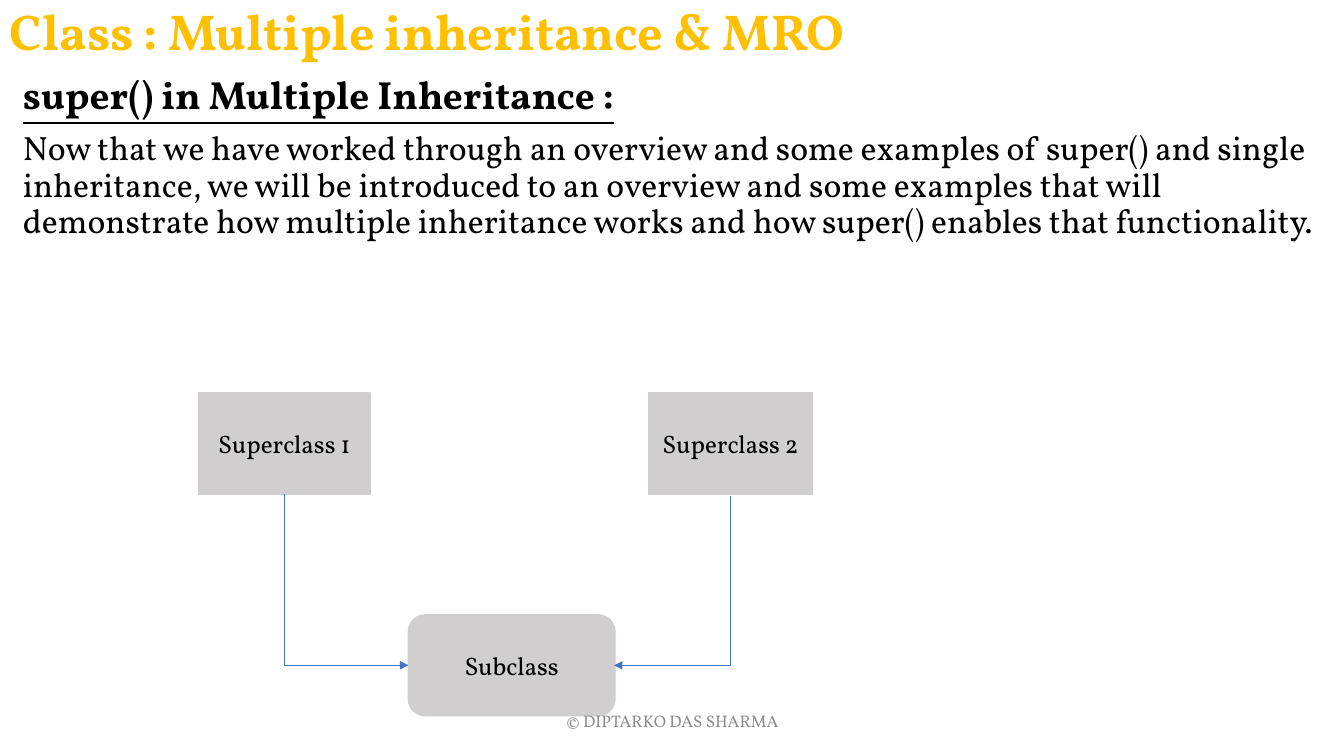
from lxml.etree import SubElement
from pptx import Presentation
from pptx.dml.color import RGBColor as Rgb
from pptx.enum.shapes import MSO_CONNECTOR as Conn, MSO_SHAPE as Kind
from pptx.enum.text import MSO_ANCHOR as Anchor, PP_ALIGN as Align
from pptx.oxml.ns import qn
from pptx.util import Inches, Pt

FONT = "Vollkorn"
HUES = {
    "gold": "FFC000",
    "black": "000000",
    "gray": "D0CECE",
    "blue": "4472C4",
    "foot": "8C8C8C",
}
INTRO = (
    "Now that we have worked through an overview and some examples of super() "
    "and single inheritance, we will be introduced to an overview and some "
    "examples that will demonstrate how multiple inheritance works and how "
    "super() enables that functionality."
)


def hue(name):
    return Rgb.from_string(HUES[name])


def add_run(para, text, size, color="black", bold=False, under=False):
    run = para.add_run()
    run.text = text
    font = run.font
    font.name, font.size = FONT, Pt(size)
    font.bold, font.underline = bold, under
    font.color.rgb = hue(color)


def add_box(slide, area, anchor=Anchor.MIDDLE):
    box = slide.shapes.add_textbox(*map(Inches, area))
    frame = box.text_frame
    frame.word_wrap = True
    frame.vertical_anchor = anchor
    return frame


def add_title(slide, text):
    para = add_box(slide, (0, 0, 11.89, 0.68)).paragraphs[0]
    para.line_spacing = 0.9
    add_run(para, text, 36, "gold", bold=True)


def add_body(slide, head, text):
    frame = add_box(slide, (0.13, 0.7, 13, 6.4), Anchor.TOP)
    first, second = frame.paragraphs[0], frame.add_paragraph()
    for para in (first, second):
        para.line_spacing = 0.9
        para.space_before = Pt(10)
    add_run(first, head, 28, bold=True, under=True)
    add_run(second, text, 24)


def add_class(slide, kind, area, name):
    shape = slide.shapes.add_shape(kind, *map(Inches, area))
    shape.shadow.inherit = False
    shape.fill.solid()
    shape.fill.fore_color.rgb = hue("gray")
    shape.line.color.rgb = hue("gray")
    shape.line.width = Pt(1)
    frame = shape.text_frame
    frame.word_wrap = True
    frame.vertical_anchor = Anchor.MIDDLE
    para = frame.paragraphs[0]
    para.alignment = Align.CENTER
    add_run(para, name, 18)


def add_arrow(slide, start, end):
    (x1, y1), (x2, y2) = start, end
    mid_x, mid_y = (x1 + x2) / 2, (y1 + y2) / 2
    half_w, half_h = (y2 - y1) / 2, abs(x2 - x1) / 2
    right = x2 > x1
    side = half_w if right else -half_w
    ends = (mid_x + side, mid_y - half_h, mid_x - side, mid_y + half_h)
    arrow = slide.shapes.add_connector(Conn.ELBOW, *map(Inches, ends))
    arrow.line.color.rgb = hue("blue")
    arrow.line.width = Pt(0.5)
    props = arrow._element.spPr
    props.find(qn("a:xfrm")).set("rot", str((270 if right else 90) * 60000))
    props.find(qn("a:prstGeom")).set("prst", "bentConnector2")
    SubElement(props.find(qn("a:ln")), qn("a:tailEnd"), type="triangle")
    SubElement(props, qn("a:effectLst"))


def add_foot(slide, text):
    para = add_box(slide, (4.42, 6.95, 4.5, 0.4)).paragraphs[0]
    para.alignment = Align.CENTER
    add_run(para, text, 12, "foot")


def main():
    deck = Presentation()
    deck.slide_width, deck.slide_height = Inches(13.33), Inches(7.5)
    slide = deck.slides.add_slide(deck.slide_layouts[6])
    add_title(slide, "Class : Multiple inheritance & MRO")
    add_body(slide, "super() in Multiple Inheritance :", INTRO)
    add_class(slide, Kind.RECTANGLE, (1.97, 3.9, 1.7, 1), "Superclass 1")
    add_class(slide, Kind.RECTANGLE, (6.43, 3.9, 1.63, 1), "Superclass 2")
    add_class(slide, Kind.ROUNDED_RECTANGLE, (4.05, 6.1, 2.05, 1), "Subclass")
    add_arrow(slide, (7.24, 4.92), (6.09, 6.6))
    add_arrow(slide, (2.82, 4.9), (4.05, 6.6))
    add_foot(slide, "© DIPTARKO DAS SHARMA")
    deck.save("out.pptx")


if __name__ == "__main__":
    main()
